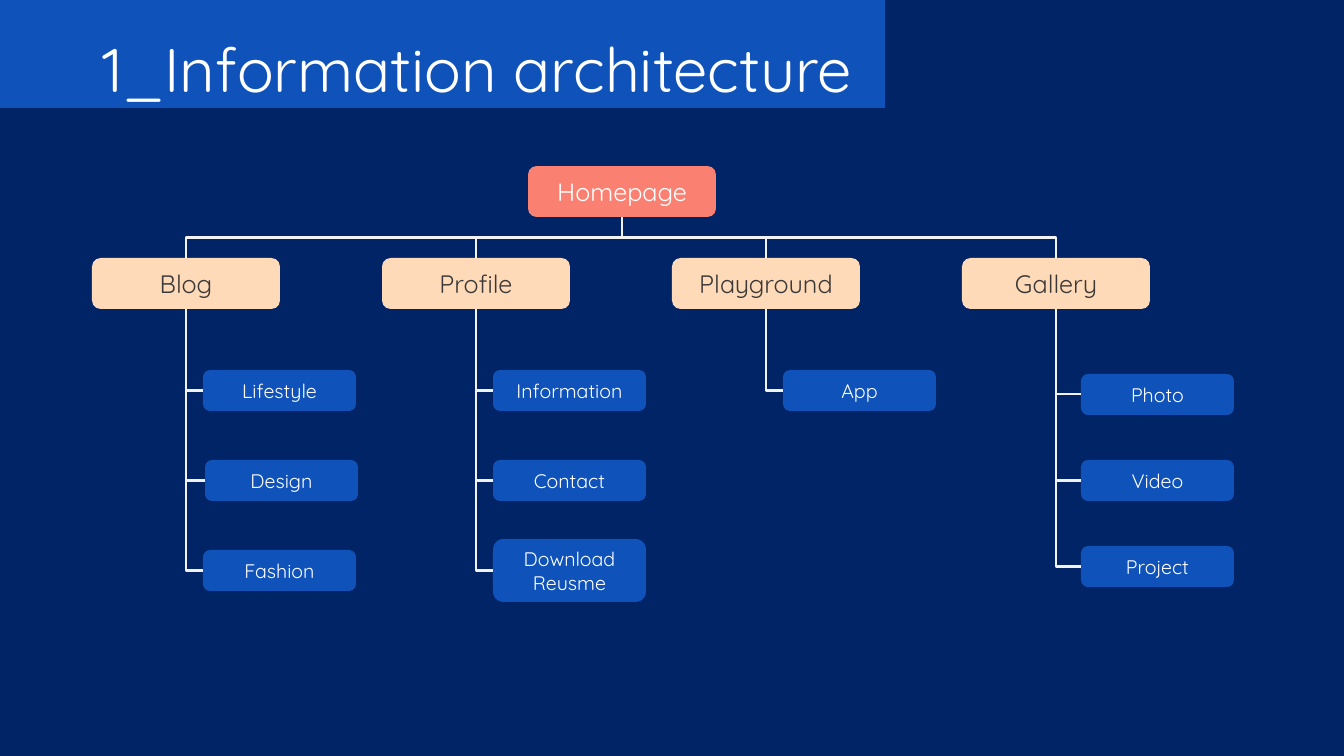
import pptx
import pptx.util
import pptx.dml.color
import pptx.enum.shapes
import pptx.enum.text
import pptx.oxml.ns
import lxml.etree

PX = 9525 * 96 / 100.8  # EMU per pixel
SHAPE = pptx.enum.shapes.MSO_SHAPE
ALIGN = pptx.enum.text.PP_ALIGN
MIDDLE = pptx.enum.text.MSO_ANCHOR.MIDDLE
BOTTOM_SITE, TOP_SITE, LEFT_SITE = 2, 0, 1

theme = {
    "font": "Quicksand",
    "background": "012466",
    "line": "F2F2F2",
    "line_width": 1.5,
    # box styles: fill, text colour, size in points
    "title": {"fill": "0F52BA", "text": "FFFFFF", "size": 44},
    "home": {"fill": "FA8071", "text": "FFFFFF", "size": 18},
    "section": {"fill": "FEDAB8", "text": "3B3838", "size": 18},
    "page": {"fill": "0F52BA", "text": "FFFFFF", "size": 14},
}
rgb = pptx.dml.color.RGBColor.from_string

prs = pptx.Presentation()
prs.slide_width = round(1344 * PX)
prs.slide_height = round(756 * PX)
s = prs.slides.add_slide(prs.slide_layouts[6])
s.background.fill.solid()
s.background.fill.fore_color.rgb = rgb(theme["background"])


def add_box(kind, box, style, text="", align=ALIGN.CENTER):
    """Add a shape, or a text box when kind is None."""
    x, y, w, h = [round(v * PX) for v in box]
    look = theme[style]
    if kind is None:
        sp = s.shapes.add_textbox(x, y, w, h)
    else:
        sp = s.shapes.add_shape(kind, x, y, w, h)
        sp.shadow.inherit = False
        sp.fill.solid()
        sp.fill.fore_color.rgb = rgb(look["fill"])
        sp.line.fill.background()
    if text:
        tf = sp.text_frame
        for name, value in {"word_wrap": True, "vertical_anchor": MIDDLE}.items():
            setattr(tf, name, value)
        p = tf.paragraphs[0]
        p.alignment = align
        r = p.add_run()
        r.text = text
        font = {"name": theme["font"], "size": pptx.util.Pt(look["size"])}
        for name, value in font.items():
            setattr(r.font, name, value)
        r.font.color.rgb = rgb(look["text"])
    return sp


def add_elbow(parent, child, site, preset):
    """Link the bottom of parent to the top or left of child."""
    x1, y1 = parent.left + parent.width // 2, parent.top + parent.height
    if site == TOP_SITE:
        x2, y2 = child.left + child.width // 2, child.top
    else:
        x2, y2 = child.left, child.top + child.height // 2
    c = s.shapes.add_connector(
        pptx.enum.shapes.MSO_CONNECTOR.ELBOW, x1, y1, x2, y2)
    c.begin_connect(parent, BOTTOM_SITE)
    c.end_connect(child, site)
    # The line leaves downwards, so its frame is turned by a quarter
    w, h = abs(x2 - x1), abs(y2 - y1)
    frame = {"left": (x1 + x2 - h) // 2, "top": (y1 + y2 - w) // 2,
             "width": h, "height": w}
    for name, value in frame.items():
        setattr(c, name, value)
    to_right = x2 > x1
    xfrm = c._element.spPr.xfrm
    xfrm.set("rot", "16200000" if to_right else "5400000")
    xfrm.set("flipH", "1" if to_right else "0")
    c._element.spPr.prstGeom.set("prst", preset)
    c.line.color.rgb = rgb(theme["line"])
    c.line.width = pptx.util.Pt(theme["line_width"])
    lxml.etree.SubElement(c._element.spPr, pptx.oxml.ns.qn("a:effectLst"))


# Title band
add_box(SHAPE.RECTANGLE, (0, 0, 885, 108), "title")
title = add_box(None, (93, 0, 789, 146), "title",
                "1_Information architecture", ALIGN.LEFT)
title.text_frame.paragraphs[0].line_spacing = 0.9

# Site map: section -> left of pages, middle of first page, row pitch, pages
SECTION_W, SECTION_H = 188, 51
PAGE_W, PAGE_H, TALL_H = 153, 41, 63
sections = {
    "Blog": (203, 390, 90, ["Lifestyle", "Design", "Fashion"]),
    "Profile": (493, 390, 90, ["Information", "Contact", "Download Reusme"]),
    "Playground": (783, 390, 90, ["App"]),
    "Gallery": (1081, 394, 86, ["Photo", "Video", "Project"]),
}
offsets = {"Design": 2}  # pages set off their column
heights = {"Download Reusme": TALL_H}  # pages with two lines

home = add_box(SHAPE.ROUNDED_RECTANGLE, (528, 166, SECTION_W, SECTION_H),
               "home", "Homepage")

for col, (name, (left, middle, pitch, pages)) in enumerate(sections.items()):
    section = add_box(SHAPE.ROUNDED_RECTANGLE,
                      (92 + 290 * col, 258, SECTION_W, SECTION_H),
                      "section", name)
    add_elbow(home, section, TOP_SITE, "bentConnector3")
    for row, label in enumerate(pages):
        h = heights.get(label, PAGE_H)
        box = (left + offsets.get(label, 0), middle + pitch * row - h // 2,
               PAGE_W, h)
        page = add_box(SHAPE.ROUNDED_RECTANGLE, box, "page", label)
        add_elbow(section, page, LEFT_SITE, "bentConnector2")

prs.save("out.pptx")
